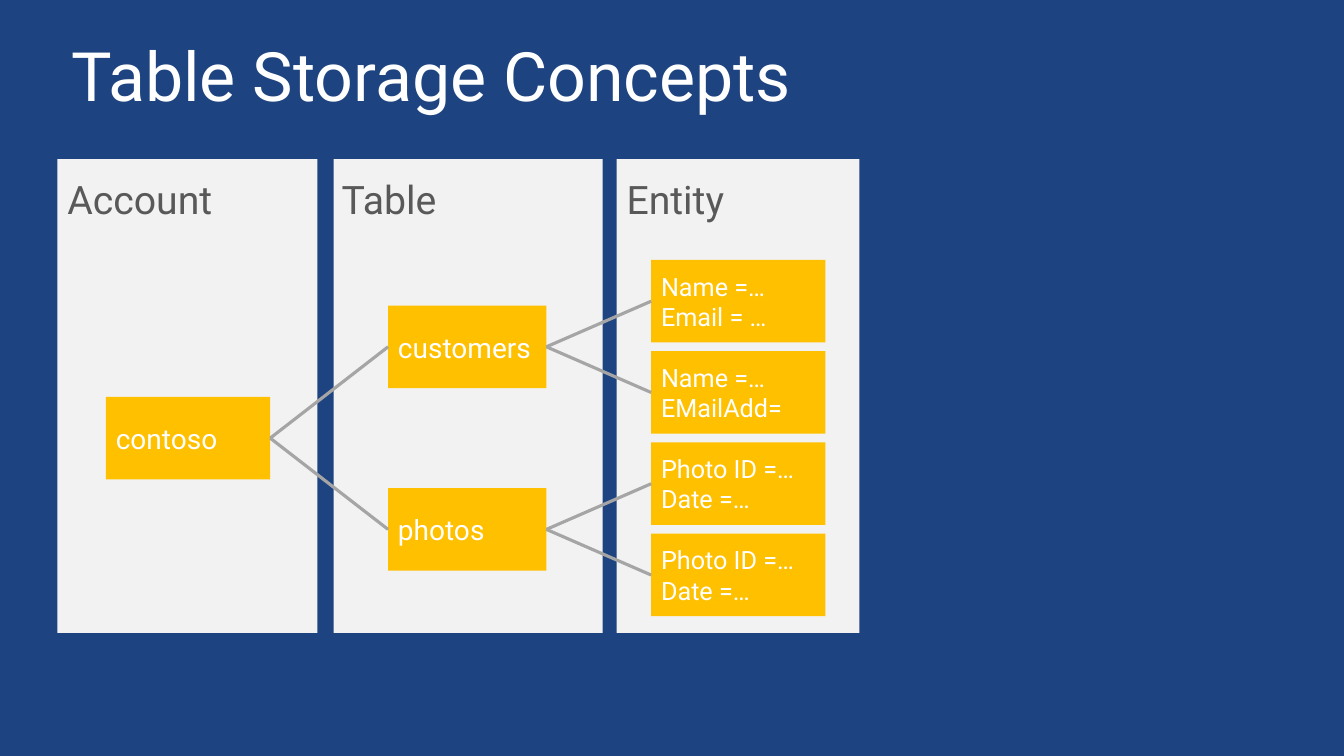
from dataclasses import dataclass

from lxml import etree
from pptx import Presentation, util as u
from pptx.dml.color import RGBColor
from pptx.enum import shapes, text
from pptx.oxml import ns

NAVY = RGBColor(0x1D, 0x43, 0x80)
WHITE = RGBColor(0xFF, 0xFF, 0xFF)
PANEL_GREY = RGBColor(0xF2, 0xF2, 0xF2)
TEXT_GREY = RGBColor(0x59, 0x59, 0x59)
LINE_GREY = RGBColor(0xA5, 0xA5, 0xA5)
AMBER = RGBColor(0xFF, 0xC0, 0x00)

FONT = "Roboto"
PANEL_TOP, PANEL_HEIGHT, HEADER_HEIGHT = 4.01, 11.94, 3.99
BOX_HEIGHT, BOX_TOP, BOX_PITCH = 2.08, 6.55, 2.3
RIGHT_SIDE, LEFT_SIDE = 3, 1


@dataclass(frozen=True)
class Column:
    title: str
    left: float
    width: float
    header_left: float
    box_left: float
    box_width: float
    size: float


@dataclass(frozen=True)
class Node:
    lines: tuple[str, ...]
    children: tuple["Node", ...] = ()


COLUMNS = (
    Column("Account", 1.45, 6.55, 1.45, 2.67, 4.14, 20),
    Column("Table", 8.41, 6.78, 8.36, 9.78, 3.99, 20),
    Column("Entity", 15.54, 6.12, 15.54, 16.41, 4.39, 18),
)

ACCOUNT = Node(("contoso",), (
    Node(("customers",), (
        Node(("Name =…", "Email = …")),
        Node(("Name =…", "EMailAdd=")),
    )),
    Node(("photos",), (
        Node(("Photo ID =…", "Date =…")),
        Node(("Photo ID =…", "Date =…")),
    )),
))


def write(sp, lines: tuple[str, ...], size: float, color: RGBColor,
          frame_format: dict, line_spacing: float = 1.0) -> None:
    tf = sp.text_frame
    for name, value in ({"word_wrap": True} | frame_format).items():
        setattr(tf, name, value)
    for i, line in enumerate(lines):
        p = tf.paragraphs[0] if i == 0 else tf.add_paragraph()
        p.alignment = text.PP_ALIGN.LEFT
        p.line_spacing = line_spacing
        r = p.add_run()
        r.text = line
        for name, value in {"name": FONT, "size": u.Pt(size)}.items():
            setattr(r.font, name, value)
        r.font.color.rgb = color


def add_rectangle(s, left: float, top: float, width: float, height: float,
                  color: RGBColor):
    sp = s.shapes.add_shape(shapes.MSO_SHAPE.RECTANGLE,
                            *map(u.Cm, (left, top, width, height)))
    sp.shadow.inherit = False
    sp.fill.solid()
    sp.fill.fore_color.rgb = color
    sp.line.fill.background()
    return sp


def add_text(s, left: float, top: float, width: float, height: float,
             line: str, size: float, color: RGBColor,
             frame_format: dict) -> None:
    sp = s.shapes.add_textbox(*map(u.Cm, (left, top, width, height)))
    write(sp, (line,), size, color, frame_format, 0.9)


def add_panel(s, column: Column) -> None:
    add_rectangle(s, column.left, PANEL_TOP, column.width, PANEL_HEIGHT,
                  PANEL_GREY)
    margins = {"margin_left": u.Cm(0.25), "margin_top": u.Cm(0.69),
               "margin_right": u.Cm(0.69), "margin_bottom": u.Cm(0.69)}
    add_text(s, column.header_left, PANEL_TOP, column.width, HEADER_HEIGHT,
             column.title, 28, TEXT_GREY, margins)


def add_link(s, parent, child) -> None:
    link = s.shapes.add_connector(shapes.MSO_CONNECTOR.STRAIGHT, 0, 0, 0, 0)
    link.begin_connect(parent, RIGHT_SIDE)
    link.end_connect(child, LEFT_SIDE)
    link.line.color.rgb = LINE_GREY
    link.line.width = u.Pt(2.25)
    etree.SubElement(link._element.spPr, ns.qn("a:effectLst"))


def add_tree(s, node: Node, level: int = 0, first_row: int = 0):
    column = COLUMNS[level]
    boxes, row = [], first_row
    for child in node.children:
        box, row = add_tree(s, child, level + 1, row)
        boxes.append(box)
    last_row = max(row, first_row + 1)
    top = BOX_TOP + BOX_PITCH * (first_row + last_row - 1) / 2
    sp = add_rectangle(s, column.box_left, top, column.box_width, BOX_HEIGHT,
                       AMBER)
    write(sp, node.lines, column.size, WHITE,
          {"vertical_anchor": text.MSO_ANCHOR.MIDDLE})
    for box in boxes:
        add_link(s, sp, box)
    return sp, last_row


def main() -> None:
    prs = Presentation()
    for name, value in {"slide_width": 33.87, "slide_height": 19.05}.items():
        setattr(prs, name, u.Cm(value))
    s = prs.slides.add_slide(prs.slide_layouts[6])
    s.background.fill.solid()
    s.background.fill.fore_color.rgb = NAVY
    add_text(s, 1.55, 0.94, 30.78, 2.67, "Table Storage Concepts", 48.6,
             WHITE, {"vertical_anchor": text.MSO_ANCHOR.TOP})
    for column in COLUMNS:
        add_panel(s, column)
    add_tree(s, ACCOUNT)
    prs.save("out.pptx")


if __name__ == "__main__":
    main()
